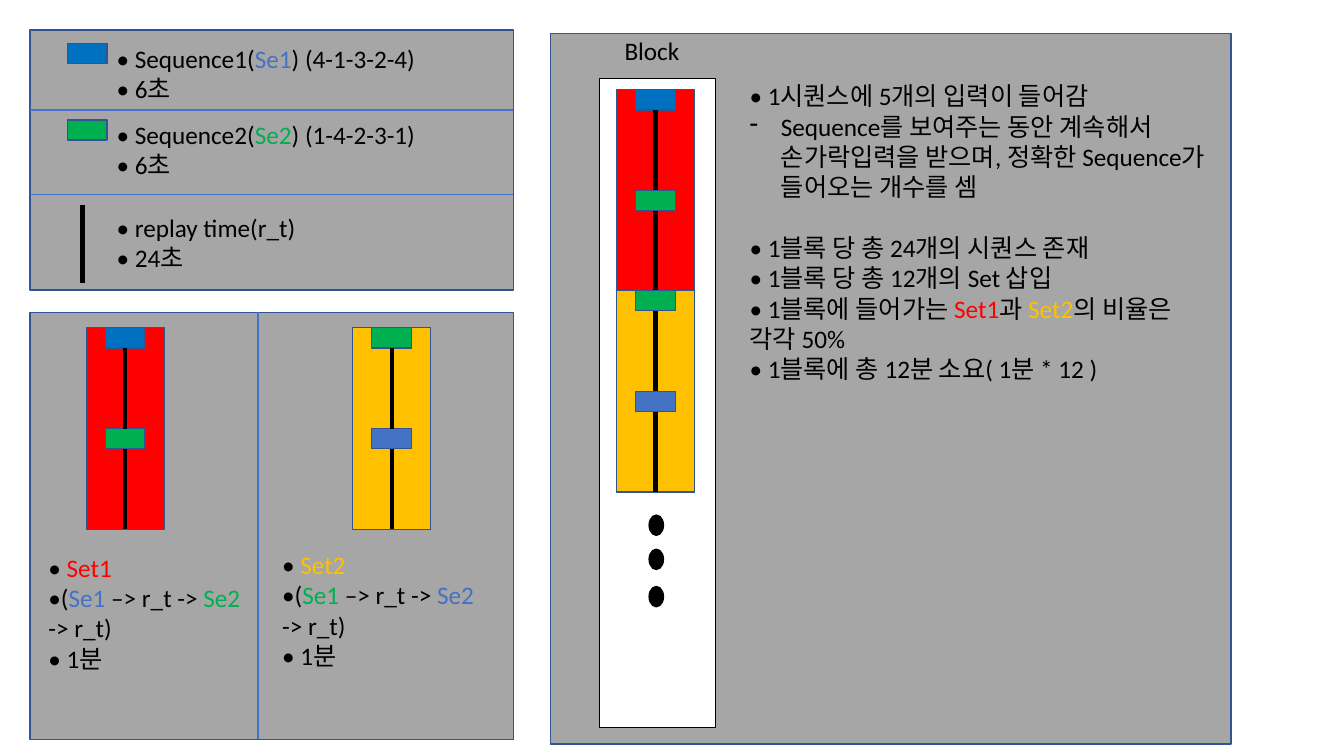
from dataclasses import dataclass
from typing import Any

import lxml.etree
import pptx
import pptx.dml.color
import pptx.enum.shapes
import pptx.enum.text
import pptx.oxml.ns
import pptx.util

Cm = pptx.util.Cm
Pt = pptx.util.Pt
RECT = pptx.enum.shapes.MSO_SHAPE.RECTANGLE
OVAL = pptx.enum.shapes.MSO_SHAPE.OVAL
STRAIGHT = pptx.enum.shapes.MSO_CONNECTOR.STRAIGHT

BLACK, WHITE, GRAY = "000000", "FFFFFF", "A6A6A6"
RED, GOLD, GREEN = "FF0000", "FFC000", "00B050"
BLUE, DEEP_BLUE, OUTLINE = "4472C4", "0070C0", "325491"

FONT = {"name": "Calibri", "size": Pt(18)}
FRAME = {
    "word_wrap": True,
    "auto_size": pptx.enum.text.MSO_AUTO_SIZE.SHAPE_TO_FIT_TEXT,
}
CHIP_W, CHIP_H = 1.0, 0.51
SET_W, SET_H = 1.96, 5.08


@dataclass
class Box:
    x: float
    y: float
    w: float
    h: float
    fill: str
    line: str = OUTLINE
    kind: Any = RECT


@dataclass
class Run:
    text: str
    color: str = BLACK


@dataclass
class Para:
    runs: list[Run]
    gap: float = 0
    dash: bool = False


@dataclass
class TextBlock:
    x: float
    y: float
    w: float
    h: float
    paras: list[Para]


@dataclass
class SetBar:
    x: float
    y: float
    fill: str
    first: str
    second: str


def rgb(color: str) -> pptx.dml.color.RGBColor:
    return pptx.dml.color.RGBColor.from_string(color)


def set_attrs(target: Any, values: dict[str, Any]) -> None:
    for key, value in values.items():
        setattr(target, key, value)


def para(*parts: Any, gap: float = 0, dash: bool = False) -> Para:
    runs = [Run(s) if isinstance(s, str) else Run(*s) for s in parts]
    return Para(runs, gap, dash)


def draw_box(shapes: Any, box: Box) -> Any:
    sp = shapes.add_shape(box.kind, Cm(box.x), Cm(box.y), Cm(box.w), Cm(box.h))
    sp.shadow.inherit = False
    sp.fill.solid()
    sp.fill.fore_color.rgb = rgb(box.fill)
    sp.line.color.rgb = rgb(box.line)
    sp.line.width = Pt(1)
    return sp


def draw_line(shapes: Any, x1: float, y1: float, x2: float, y2: float,
              color: str = BLACK, width: float = 3) -> Any:
    cxn = shapes.add_connector(STRAIGHT, Cm(x1), Cm(y1), Cm(x2), Cm(y2))
    cxn.line.color.rgb = rgb(color)
    cxn.line.width = Pt(width)
    lxml.etree.SubElement(cxn._element.spPr, pptx.oxml.ns.qn("a:effectLst"))
    return cxn


def draw_text(shapes: Any, block: TextBlock) -> None:
    tf = shapes.add_textbox(Cm(block.x), Cm(block.y),
                            Cm(block.w), Cm(block.h)).text_frame
    set_attrs(tf, FRAME)
    for i, item in enumerate(block.paras):
        p = tf.add_paragraph() if i else tf.paragraphs[0]
        if item.gap:
            p.space_before = Pt(item.gap)
        if item.dash:
            pPr = p._p.get_or_add_pPr()
            pPr.set("marL", str(Cm(0.79)))
            pPr.set("indent", str(-Cm(0.79)))
            bullet = lxml.etree.SubElement(pPr, pptx.oxml.ns.qn("a:buChar"))
            bullet.set("char", "-")
        for run in item.runs:
            r = p.add_run()
            r.text = run.text
            set_attrs(r.font, FONT)
            r.font.color.rgb = rgb(run.color)


def draw_set(shapes: Any, bar: SetBar) -> None:
    body = draw_box(shapes, Box(bar.x, bar.y, SET_W, SET_H, bar.fill))
    chip_x, mid = bar.x + (SET_W - CHIP_W) / 2, bar.x + SET_W / 2
    half, end = bar.y + SET_H / 2, bar.y + SET_H
    first, second = [draw_box(shapes, Box(chip_x, y, CHIP_W, CHIP_H, color))
                     for y, color in ((bar.y, bar.first), (half, bar.second))]
    for y, start, stop, side in ((bar.y, first, second, 0), (half, second, body, 2)):
        cxn = draw_line(shapes, mid, y + CHIP_H, mid, min(y + SET_H / 2, end))
        cxn.begin_connect(start, 2)
        cxn.end_connect(stop, side)


def set_notes(name: str, color: str, first: str, second: str) -> list[Para]:
    return [
        para("• ", (name, color)),
        para("•(", ("Se1", first), " –> r_t -> ", ("Se2 ", second), "-> r_t)"),
        para("• 1분"),
    ]


PANELS = [
    Box(13.87, 0.84, 17.15, 17.91, GRAY),
    Box(0.76, 7.87, 12.19, 10.77, GRAY),
    Box(0.76, 0.76, 12.19, 6.55, GRAY),
]
LEGEND_CHIPS = [
    Box(1.7, 1.09, CHIP_W, CHIP_H, DEEP_BLUE),
    Box(1.7, 3.02, CHIP_W, CHIP_H, GREEN),
]
DIVIDERS = [
    (0.76, 2.77, 12.93, 2.77),
    (0.76, 4.9, 12.93, 4.9),
    (6.5, 7.87, 6.5, 18.62),
]
SETS = [
    SetBar(2.18, 8.26, RED, DEEP_BLUE, GREEN),
    SetBar(8.89, 8.26, GOLD, GREEN, BLUE),
]
BLOCK_SETS = [
    SetBar(15.54, 2.26, RED, DEEP_BLUE, GREEN),
    SetBar(15.54, 7.32, GOLD, GREEN, BLUE),
]
TEXTS = [
    TextBlock(2.69, 0.97, 12.09, 1.8, [
        para("• Sequence1(", ("Se1", BLUE), ") (4-1-3-2-4)"), para("• 6초")]),
    TextBlock(2.69, 2.87, 12.09, 1.8, [
        para("• Sequence2(", ("Se2", GREEN), ") (1-4-2-3-1)"), para("• 6초")]),
    TextBlock(2.69, 5.23, 11.02, 1.8, [
        para("• replay time(r_t)"), para("• 24초")]),
    TextBlock(0.97, 13.79, 5.49, 3.33, set_notes("Set1", RED, BLUE, GREEN)),
    TextBlock(6.86, 13.72, 5.66, 3.33, set_notes("Set2", GOLD, GREEN, BLUE)),
    TextBlock(15.49, 0.76, 2.01, 1.02, [para("Block")]),
    TextBlock(18.64, 1.91, 12.09, 7.95, [
        para("• 1시퀀스에 5개의 입력이 들어감"),
        para("Sequence를 보여주는 동안 계속해서 손가락입력을 받으며, "
             "정확한 Sequence가 들어오는 개수를 셈", dash=True),
        para("• 1블록 당 총 24개의 시퀀스 존재", gap=22),
        para("• 1블록 당 총 12개의 Set 삽입"),
        para("• 1블록에 들어가는 ", ("Set1", RED), "과 ", ("Set2", GOLD),
             "의 비율은 각각 50%"),
        para("• 1블록에 총 12분 소요( 1분 * 12 )"),
    ]),
]


def main() -> None:
    prs = pptx.Presentation()
    set_attrs(prs, {"slide_width": Cm(33.87), "slide_height": Cm(19.05)})
    shapes = prs.slides.add_slide(prs.slide_layouts[6]).shapes

    for box in PANELS + LEGEND_CHIPS:
        draw_box(shapes, box)
    draw_line(shapes, 2.08, 5.16, 2.08, 7.14)
    for ends in DIVIDERS:
        draw_line(shapes, *ends, BLUE, 1)
    for bar in SETS:
        draw_set(shapes.add_group_shape().shapes, bar)

    block = shapes.add_group_shape().shapes
    draw_box(block, Box(15.11, 1.98, 2.92, 16.36, WHITE, BLACK))
    for y in (12.98, 13.84, 14.78):
        draw_box(block, Box(16.36, y, 0.36, 0.51, BLACK, BLACK, OVAL))
    for bar in BLOCK_SETS:
        draw_set(block, bar)

    for text in TEXTS:
        draw_text(shapes, text)
    prs.save("out.pptx")


if __name__ == "__main__":
    main()
